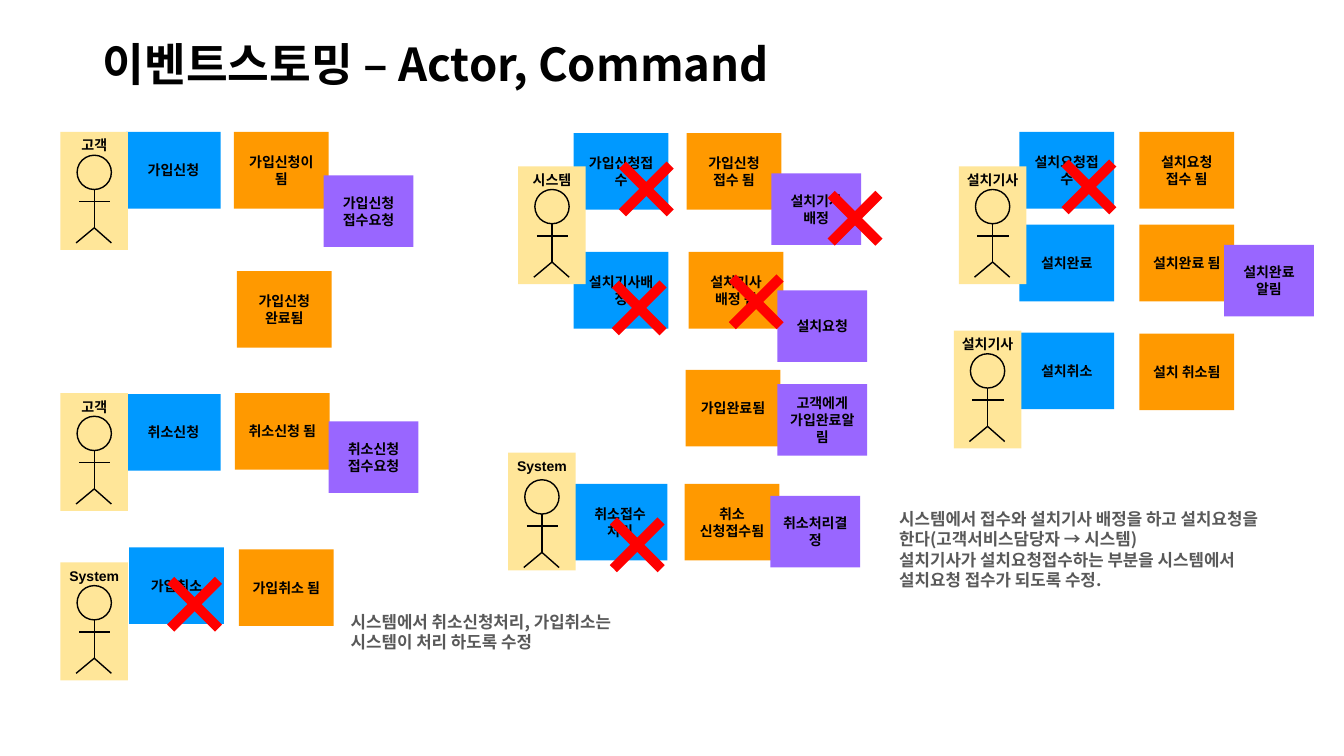
from dataclasses import dataclass

from lxml.etree import SubElement
from pptx import Presentation
from pptx.dml.color import RGBColor
from pptx.enum.shapes import MSO_CONNECTOR, MSO_SHAPE
from pptx.enum.text import MSO_ANCHOR, PP_ALIGN
from pptx.oxml.ns import qn
from pptx.shapes.autoshape import Shape
from pptx.shapes.group import GroupShape
from pptx.slide import Slide
from pptx.text.text import TextFrame
from pptx.util import Inches, Pt

KOREAN_FONT = "Noto Sans CJK KR"
EVENT, POLICY, COMMAND = "FF9900", "9966FF", "0099FF"
NOTE_SIZES = {EVENT: (0.94, 0.76), POLICY: (0.89, 0.71), COMMAND: (0.94, 0.76)}
ACTOR_W, ACTOR_H, HEAD = 0.67, 1.17, 0.34
CROSS_W, CROSS_H = 0.1, 0.67


@dataclass
class Note:
    kind: str
    left: float
    top: float
    text: str


@dataclass
class Actor:
    left: float
    top: float
    name: str
    head_gap: float = 0.23


@dataclass
class Cross:
    left: float
    top: float


@dataclass
class Caption:
    left: float
    top: float
    width: float
    height: float
    text: str
    size: float = 12
    color: str = "595959"
    anchor: MSO_ANCHOR = MSO_ANCHOR.TOP
    spacing: float = 1.0


NOTES = [
    Note(EVENT, 2.32, 1.31, "가입신청이 됨"),
    Note(POLICY, 3.21, 1.74, "가입신청 접수요청"),
    Note(COMMAND, 1.25, 1.31, "가입신청"),
    Note(EVENT, 6.81, 1.32, "가입신청 접수 됨"),
    Note(POLICY, 7.65, 1.72, "설치기사 배정"),
    Note(COMMAND, 5.69, 1.32, "가입신청접수"),
    Note(EVENT, 6.83, 2.5, "설치기사 배정 됨"),
    Note(POLICY, 7.71, 2.88, "설치요청"),
    Note(COMMAND, 5.69, 2.5, "설치기사배정"),
    Note(EVENT, 2.35, 2.69, "가입신청 완료됨"),
    Note(EVENT, 2.33, 3.9, "취소신청 됨"),
    Note(POLICY, 3.26, 4.18, "취소신청 접수요청"),
    Note(COMMAND, 1.25, 3.91, "취소신청"),
    Note(EVENT, 11.3, 1.31, "설치요청 접수 됨"),
    Note(COMMAND, 10.11, 1.31, "설치요청접수"),
    Note(EVENT, 11.3, 2.23, "설치완료 됨"),
    Note(POLICY, 12.14, 2.43, "설치완료 알림"),
    Note(COMMAND, 10.11, 2.23, "설치완료"),
    Note(EVENT, 11.3, 3.31, "설치 취소됨"),
    Note(COMMAND, 10.11, 3.3, "설치취소"),
    Note(EVENT, 6.79, 4.8, "취소 신청접수됨"),
    Note(POLICY, 7.64, 4.92, "취소처리결정"),
    Note(COMMAND, 5.68, 4.8, "취소접수 처리"),
    Note(EVENT, 6.8, 3.67, "가입완료됨"),
    Note(POLICY, 7.71, 3.81, "고객에게 가입완료알림"),
    Note(EVENT, 2.37, 5.45, "가입취소 됨"),
    Note(COMMAND, 1.28, 5.43, "가입취소"),
]
ACTORS = [
    Actor(9.51, 1.65, "설치기사"),
    Actor(5.14, 1.65, "시스템"),
    Actor(5.04, 4.49, "System", 0.27),
    Actor(0.6, 1.31, "고객"),
    Actor(0.6, 3.9, "고객"),
    Actor(9.46, 3.28, "설치기사"),
    Actor(0.6, 5.58, "System"),
]
CROSSES = [
    Cross(8.43, 1.83), Cross(7.45, 2.66), Cross(6.29, 2.72), Cross(6.36, 1.54),
    Cross(10.75, 1.52), Cross(6.27, 5.07), Cross(1.88, 5.66),
]
CAPTIONS = [
    Caption(0.92, 0.4, 11.5, 0.53, "이벤트스토밍 – Actor, Command",
            32.4, "000000", MSO_ANCHOR.MIDDLE, 0.9),
    Caption(8.82, 5, 3.98, 0.71,
            "시스템에서 접수와 설치기사 배정을 하고 설치요청을 한다(고객서비스담당자 → 시스템)\n"
            "설치기사가 설치요청접수하는 부분을 시스템에서 설치요청 접수가 되도록 수정."),
    Caption(3.38, 6.02, 3.39, 0.71,
            "시스템에서 취소신청처리, 가입취소는 시스템이 처리 하도록 수정"),
]


def rgb(color: str) -> RGBColor:
    return RGBColor.from_string(color)


def write(tf: TextFrame, text: str, size: float = 10, color: str = "000000",
          font: str = KOREAN_FONT, align: PP_ALIGN = PP_ALIGN.CENTER,
          spacing: float = 1.0) -> None:
    tf.text = text
    for p in tf.paragraphs:
        p.alignment = align
        p.line_spacing = spacing
        for r in p.runs:
            r.font.size = Pt(size)
            r.font.bold = True
            r.font.name = font
            r.font.color.rgb = rgb(color)
            SubElement(r.font._element, qn("a:ea"), typeface=KOREAN_FONT)


def add_box(parent: Slide | GroupShape, preset: MSO_SHAPE, left: float, top: float,
            width: float, height: float, fill: str | None = None) -> Shape:
    sp = parent.shapes.add_shape(preset, Inches(left), Inches(top), Inches(width), Inches(height))
    sp.shadow.inherit = False
    if fill:
        sp.fill.solid()
        sp.fill.fore_color.rgb = rgb(fill)
        sp.line.fill.background()
    else:
        sp.fill.background()
        sp.line.color.rgb = rgb("000000")
        sp.line.width = Pt(1)
    return sp


def add_line(group: GroupShape, x1: float, y1: float, x2: float, y2: float) -> None:
    line = group.shapes.add_connector(
        MSO_CONNECTOR.STRAIGHT, Inches(x1), Inches(y1), Inches(x2), Inches(y2))
    line.line.color.rgb = rgb("000000")
    line.line.width = Pt(1)
    SubElement(line._element.spPr, qn("a:effectLst"))


def add_note(s: Slide, note: Note) -> None:
    sp = add_box(s, MSO_SHAPE.RECTANGLE, note.left, note.top, *NOTE_SIZES[note.kind], note.kind)
    sp.text_frame.vertical_anchor = MSO_ANCHOR.MIDDLE
    write(sp.text_frame, note.text)


def add_actor(s: Slide, actor: Actor) -> None:
    group = s.shapes.add_group_shape()
    card = add_box(group, MSO_SHAPE.RECTANGLE, actor.left, actor.top, ACTOR_W, ACTOR_H, "FFE699")
    card.text_frame.word_wrap = False
    card.text_frame.vertical_anchor = MSO_ANCHOR.TOP
    write(card.text_frame, actor.name, font="Arial")
    x = actor.left + ACTOR_W / 2
    y = actor.top + actor.head_gap
    neck, arms, hip, feet = y + HEAD, y + 0.46, y + 0.72, y + 0.87
    add_box(group, MSO_SHAPE.OVAL, x - HEAD / 2, y, HEAD, HEAD)
    add_line(group, x, neck, x, hip)
    add_line(group, x - 0.15, arms, x + 0.16, arms)
    for foot in (x - 0.18, x + 0.17):
        add_line(group, x, hip, foot, feet)


def add_cross(s: Slide, cross: Cross) -> None:
    group = s.shapes.add_group_shape()
    for angle in (45, 135):
        bar = add_box(group, MSO_SHAPE.RECTANGLE, cross.left, cross.top, CROSS_W, CROSS_H, "FF0000")
        bar.rotation = angle


def add_caption(s: Slide, caption: Caption) -> None:
    tf = s.shapes.add_textbox(Inches(caption.left), Inches(caption.top),
                              Inches(caption.width), Inches(caption.height)).text_frame
    tf.word_wrap = True
    tf.vertical_anchor = caption.anchor
    write(tf, caption.text, caption.size, caption.color,
          align=PP_ALIGN.LEFT, spacing=caption.spacing)


def main() -> None:
    prs = Presentation()
    prs.slide_width, prs.slide_height = Inches(13.33), Inches(7.5)
    s = prs.slides.add_slide(prs.slide_layouts[6])
    for note in NOTES:
        add_note(s, note)
    for actor in ACTORS:
        add_actor(s, actor)
    for caption in CAPTIONS:
        add_caption(s, caption)
    for cross in CROSSES:
        add_cross(s, cross)
    prs.save("out.pptx")


if __name__ == "__main__":
    main()
